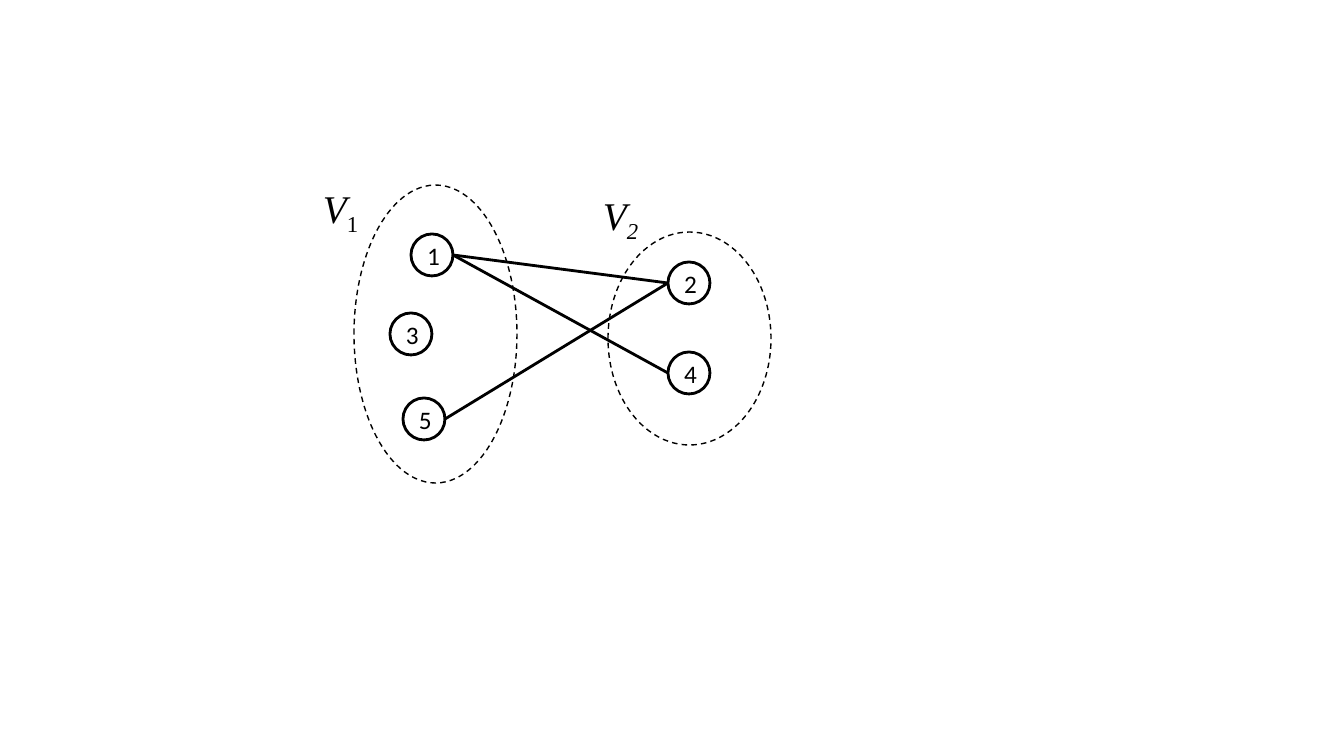
"""Draw a bipartite graph with vertex sets V1 and V2."""
from lxml.etree import SubElement
from pptx import Presentation
from pptx.dml.color import RGBColor
from pptx.enum.dml import MSO_LINE
from pptx.enum.shapes import MSO_CONNECTOR, MSO_SHAPE
from pptx.enum.text import MSO_ANCHOR, MSO_AUTO_SIZE, PP_ALIGN
from pptx.oxml.ns import qn
from pptx.util import Inches, Pt


def px(pixels):
    return Inches(pixels / 100.8)


def color(code):
    return RGBColor.from_string(code)


def write(paragraph, text, font="Calibri", size=18, ink="000000", italic=False, baseline=0):
    run = paragraph.add_run()
    run.text = text
    run.font.name = font
    run.font.size = Pt(size)
    run.font.italic = italic
    run.font.color.rgb = color(ink)
    if baseline:
        run._r.get_or_add_rPr().set("baseline", str(baseline * 1000))


class GraphSlide:
    ink = "000000"
    serif = "Times New Roman"
    diameter = 42

    def __init__(self, slide):
        self.slide = slide

    def stroke(self, line, width):
        line.color.rgb = color(self.ink)
        line.width = Pt(width)

    def ellipse(self, left, top, width, height, weight):
        outline = self.slide.shapes.add_shape(
            MSO_SHAPE.OVAL, px(left), px(top), px(width), px(height))
        outline.shadow.inherit = False
        outline.fill.background()
        self.stroke(outline.line, weight)
        return outline

    def vertex_set(self, left, top, width, height):
        self.ellipse(left, top, width, height, 1).line.dash_style = MSO_LINE.DASH

    def vertex(self, name, x, y):
        radius = self.diameter // 2
        circle = self.ellipse(x - radius, y - radius, self.diameter, self.diameter, 2)
        circle.text_frame.vertical_anchor = MSO_ANCHOR.MIDDLE
        paragraph = circle.text_frame.paragraphs[0]
        paragraph.alignment = PP_ALIGN.CENTER
        write(paragraph, name, ink=self.ink)

    def edge(self, start, end):
        radius = self.diameter // 2
        (x1, y1), (x2, y2) = start, end
        connector = self.slide.shapes.add_connector(
            MSO_CONNECTOR.STRAIGHT, px(x1 + radius), px(y1), px(x2 - radius), px(y2))
        self.stroke(connector.line, 2)
        SubElement(connector._element.spPr, qn("a:effectLst"))

    def set_label(self, index, left, top, italic_index):
        box = self.slide.shapes.add_textbox(px(left), px(top), px(69), px(57))
        frame = box.text_frame
        frame.word_wrap = True
        frame.auto_size = MSO_AUTO_SIZE.SHAPE_TO_FIT_TEXT
        style = dict(font=self.serif, size=28, ink=self.ink)
        write(frame.paragraphs[0], "V", italic=True, **style)
        write(frame.paragraphs[0], index, italic=italic_index, baseline=-25, **style)


deck = Presentation()
deck.slide_width, deck.slide_height = px(1344), px(756)
graph = GraphSlide(deck.slides.add_slide(deck.slide_layouts[6]))

vertices = {
    "1": (432, 255),
    "3": (411, 334),
    "4": (689, 373),
    "2": (689, 283),
    "5": (424, 419),
}

graph.vertex_set(354, 185, 163, 298)
graph.vertex_set(608, 232, 163, 213)
for name, center in vertices.items():
    graph.vertex(name, *center)
for odd, even in ("12", "52", "14"):
    graph.edge(vertices[odd], vertices[even])
graph.set_label("1", 313, 179, italic_index=False)
graph.set_label("2", 593, 186, italic_index=True)

deck.save("out.pptx")
